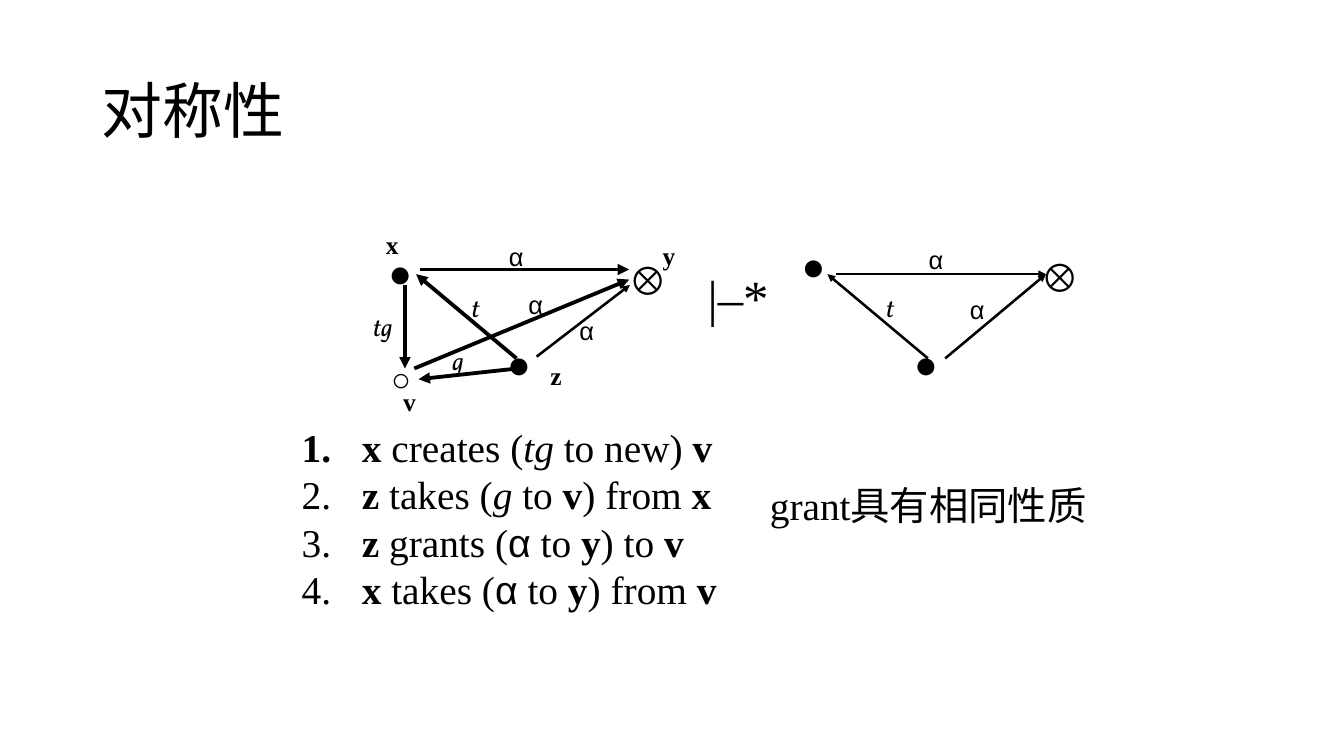
from typing import NamedTuple

from lxml import etree
from pptx import Presentation
from pptx.dml.color import RGBColor
from pptx.enum import shapes, text
from pptx.oxml import ns
from pptx.util import Cm, Pt

COLORS = {"ink": "000000"}
INK = RGBColor.from_string(COLORS["ink"])
SERIF, SANS = "Times New Roman", "Arial"


class Style(NamedTuple):
    font: str
    size: int
    wide: float
    high: float
    space: float = 0.85
    bold: bool = False
    slant: bool = False
    pad: tuple[float, float] = (0.2, 0.08)


class Label(NamedTuple):
    words: str
    style: Style
    left: float
    top: float


class Arrow(NamedTuple):
    start: tuple[float, float]
    end: tuple[float, float]
    width: int


DOT = Style(SANS, 31, 1.47, 1.27, bold=True)
SINK = Style(SANS, 31, 1.27, 1.63, 1.11, bold=True)
RING = Style(SANS, 26, 1.22, 1.09, bold=True)
NAME = Style(SERIF, 20, 0.61, 0.89, bold=True)
RIGHT = Style("Vollkorn", 20, 1.09, 0.89, slant=True)
ALPHA = Style(SANS, 20, 0.86, 1.09, 1.11)
SIGN = Style(SERIF, 40, 2.26, 1.98, 1.0, pad=(0.28, 0.15))
NOTE = Style(SERIF, 31, 9.9, 1.6, 1.0, pad=(0.28, 0.15))

ARROWS = [
    # Left graph
    Arrow((14.35, 9.96), (11.56, 7.62), 3),
    Arrow((14.91, 9.91), (17.5, 7.92), 2),
    Arrow((11.25, 7.92), (11.25, 10.24), 3),
    Arrow((14.38, 10.24), (11.63, 10.54), 3),
    Arrow((11.51, 10.24), (17.48, 7.77), 3),
    Arrow((11.68, 7.49), (17.48, 7.49), 3),
    # Right graph
    Arrow((25.78, 9.96), (22.99, 7.62), 2),
    Arrow((26.26, 9.96), (29.06, 7.62), 2),
    Arrow((23.22, 7.62), (29.06, 7.62), 2),
]

LABELS = [
    # Left graph
    Label("●", DOT, 10.59, 7.01),
    Label("●", DOT, 13.89, 9.55),
    Label("⊗", SINK, 17.27, 6.88),
    Label("○", RING, 10.67, 10.06),
    Label("x", NAME, 10.52, 6.43),
    Label("y", NAME, 18.21, 6.73),
    Label("z", NAME, 15.09, 10.06),
    Label("v", NAME, 11, 10.77),
    Label("t", RIGHT, 12.9, 8.18),
    Label("g", RIGHT, 12.37, 9.63),
    Label("tg", RIGHT, 10.16, 8.69),
    Label("α", ALPHA, 15.9, 8.59),
    Label("α", ALPHA, 14.48, 7.85),
    Label("α", ALPHA, 13.94, 6.53),
    # Right graph
    Label("●", DOT, 22.07, 6.83),
    Label("●", DOT, 25.2, 9.55),
    Label("⊗", SINK, 28.7, 6.78),
    Label("t", RIGHT, 24.41, 8.18),
    Label("α", ALPHA, 26.75, 8),
    Label("α", ALPHA, 25.6, 6.6),
    # Between and below
    Label("|–*", SIGN, 19.38, 7.24),
    Label("grant具有相同性质", NOTE, 21.11, 13.21),
]

# Each run is its text and a mark: b bold, i italic, a sans
STEPS = [
    [(" x", "b"), (" creates (", ""), ("tg", "i"), (" to new) ", ""), ("v", "b")],
    [(" ", ""), ("z ", "b"), ("takes (", ""), ("g", "i"), (" to ", ""),
     ("v", "b"), (") from ", ""), ("x", "b")],
    [(" ", ""), ("z", "b"), (" grants (", ""), ("α", "a"), (" to ", ""),
     ("y", "b"), (") to ", ""), ("v", "b")],
    [(" ", ""), ("x", "b"), (" takes (", ""), ("α", "a"), (" to ", ""),
     ("y", "b"), (") from ", ""), ("v", "b")],
]


def place(shape, left: float, top: float, wide: float, high: float) -> None:
    shape.left, shape.top = Cm(left), Cm(top)
    shape.width, shape.height = Cm(wide), Cm(high)


def set_pad(frame, pad: tuple[float, float]) -> None:
    frame.margin_left = frame.margin_right = Cm(pad[0])
    frame.margin_top = frame.margin_bottom = Cm(pad[1])


def set_font(para, name: str, size: int) -> None:
    para.font.name, para.font.size = name, Pt(size)
    para.font.color.rgb = INK


def add_label(slide, label: Label) -> None:
    style = label.style
    box = slide.shapes.add_textbox(
        Cm(label.left), Cm(label.top), Cm(style.wide), Cm(style.high))
    frame = box.text_frame
    frame.word_wrap = True
    set_pad(frame, style.pad)
    para = frame.paragraphs[0]
    para.text = label.words
    para.line_spacing = style.space
    set_font(para, style.font, style.size)
    para.font.bold, para.font.italic = style.bold, style.slant


def add_arrow(slide, arrow: Arrow) -> None:
    ends = [Cm(v) for v in (*arrow.start, *arrow.end)]
    line = slide.shapes.add_connector(shapes.MSO_CONNECTOR.STRAIGHT, *ends)
    line.line.color.rgb = INK
    line.line.width = Pt(arrow.width)
    etree.SubElement(line.line._get_or_add_ln(), ns.qn("a:tailEnd"), type="triangle")
    etree.SubElement(line._element.spPr, ns.qn("a:effectLst"))


def add_number(para) -> None:
    props = para._p.get_or_add_pPr()
    props.set("marL", str(Cm(1.4)))
    props.set("indent", str(-Cm(1.4)))
    tint = etree.SubElement(props, ns.qn("a:buClr"))
    etree.SubElement(tint, ns.qn("a:srgbClr"), val=COLORS["ink"])
    etree.SubElement(props, ns.qn("a:buFont"), typeface=SERIF)
    etree.SubElement(props, ns.qn("a:buAutoNum"), type="arabicPeriod")


def fill_title(shape) -> None:
    place(shape, 2.57, 1.12, 32.21, 4.06)
    frame = shape.text_frame
    frame.vertical_anchor = text.MSO_ANCHOR.MIDDLE
    para = frame.paragraphs[0]
    para.text = "对称性"
    para.alignment = text.PP_ALIGN.LEFT
    para.line_spacing = 0.9
    set_font(para, "Calibri", 48)


def fill_steps(shape) -> None:
    place(shape, 8.1, 11.61, 12.14, 5.54)
    frame = shape.text_frame
    frame.auto_size = text.MSO_AUTO_SIZE.NONE
    set_pad(frame, (0.28, 0.15))
    for i, step in enumerate(STEPS):
        para = frame.add_paragraph() if i else frame.paragraphs[0]
        para.space_before = Pt(0)
        add_number(para)
        set_font(para, SERIF, 31)
        for words, mark in step:
            run = para.add_run()
            run.text = words
            if mark == "b":
                run.font.bold = True
            elif mark == "i":
                run.font.italic = True
            elif mark == "a":
                run.font.name = SANS


def main() -> None:
    deck = Presentation()
    deck.slide_width, deck.slide_height = Cm(37.34), Cm(21.01)
    slide = deck.slides.add_slide(deck.slide_layouts[1])
    fill_title(slide.shapes.title)
    fill_steps(slide.placeholders[1])
    for arrow in ARROWS:
        add_arrow(slide, arrow)
    for label in LABELS:
        add_label(slide, label)
    deck.save("out.pptx")


if __name__ == "__main__":
    main()
